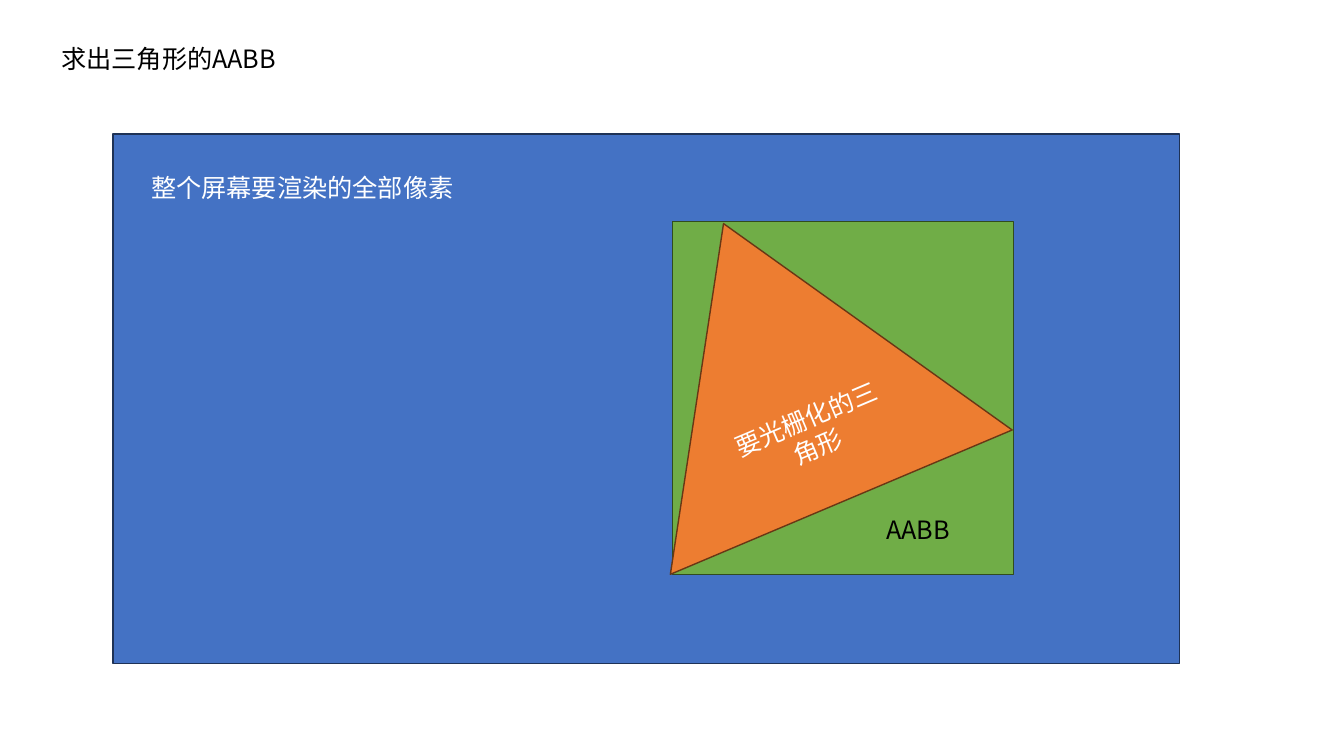
from pptx import Presentation
from pptx.dml.color import RGBColor
from pptx.enum.shapes import MSO_SHAPE as Preset
from pptx.enum.text import MSO_ANCHOR as Anchor, MSO_AUTO_SIZE as AutoSize, PP_ALIGN as Align
from pptx.oxml.ns import qn
from pptx.util import Inches, Pt
from lxml.etree import SubElement

THEME = {
    "font": "Noto Sans CJK SC",
    "size": 18,
    "outline": 1,
    "black": "000000",
    "white": "FFFFFF",
    "screen": ("4472C4", "1E3256"),
    "bounds": ("70AD47", "314C1F"),
    "triangle": ("ED7D31", "683715"),
}

SHAPES = [
    {"preset": Preset.RECTANGLE, "at": (1.12, 1.33, 10.58, 5.25), "paint": "screen"},
    {"preset": Preset.RECTANGLE, "at": (6.67, 2.2, 3.38, 3.5), "paint": "bounds"},
    {"preset": Preset.ISOSCELES_TRIANGLE, "at": (5.92, 2.1, 3.68, 3), "paint": "triangle",
     "rotation": 337.1, "text": "要光栅化的三角形"},
]

LABELS = [
    ("求出三角形的AABB", (0.51, 0.38, 4.03, 0.4), "black"),
    ("整个屏幕要渲染的全部像素", (1.4, 1.66, 3.77, 0.4), "white"),
    ("AABB", (8.69, 5.05, 1.01, 0.4), "black"),
]


def color(value):
    return RGBColor.from_string(value)


def write(box, text, ink="black", align=Align.LEFT, anchor=Anchor.TOP):
    frame = box.text_frame
    frame.word_wrap = True
    frame.vertical_anchor = anchor
    para = frame.paragraphs[0]
    para.alignment = align
    span = para.add_run()
    span.text = text
    span.font.size = Pt(THEME["size"])
    span.font.color.rgb = color(THEME[ink])
    span.font.name = THEME["font"]
    SubElement(span.font._element, qn("a:ea")).set("typeface", THEME["font"])


def add_figure(page, preset, at, paint, rotation=0, text=None):
    figure = page.shapes.add_shape(preset, *map(Inches, at))
    fill, line = THEME[paint]
    figure.shadow.inherit = False
    figure.fill.solid()
    figure.fill.fore_color.rgb = color(fill)
    figure.line.color.rgb = color(line)
    figure.line.width = Pt(THEME["outline"])
    figure.rotation = rotation
    if text:
        write(figure, text, ink="white", align=Align.CENTER, anchor=Anchor.MIDDLE)


def add_label(page, text, at, ink):
    box = page.shapes.add_textbox(*map(Inches, at))
    write(box, text, ink=ink)
    box.text_frame.auto_size = AutoSize.SHAPE_TO_FIT_TEXT


def main():
    deck = Presentation()
    deck.slide_width, deck.slide_height = Inches(13.33), Inches(7.5)
    page = deck.slides.add_slide(deck.slide_layouts[6])
    for shape in SHAPES:
        add_figure(page, **shape)
    for label in LABELS:
        add_label(page, *label)
    deck.save("out.pptx")


if __name__ == "__main__":
    main()
